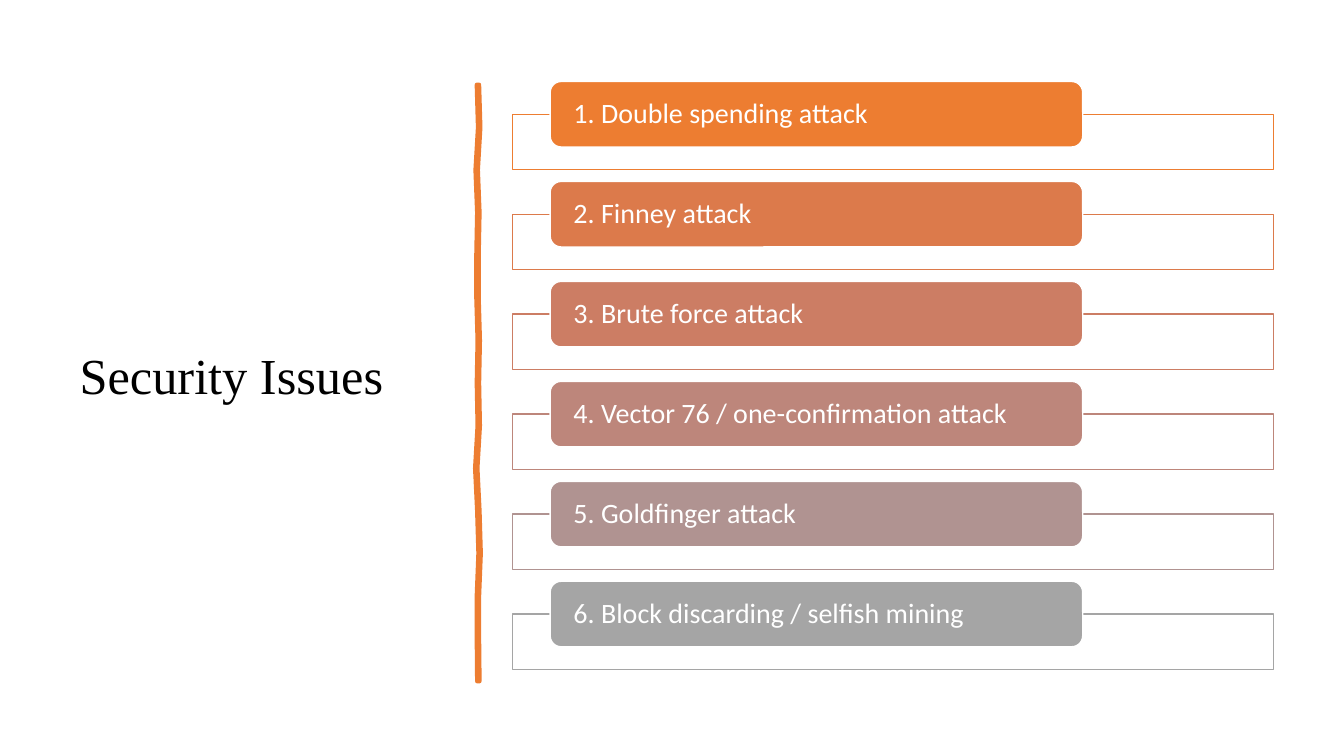
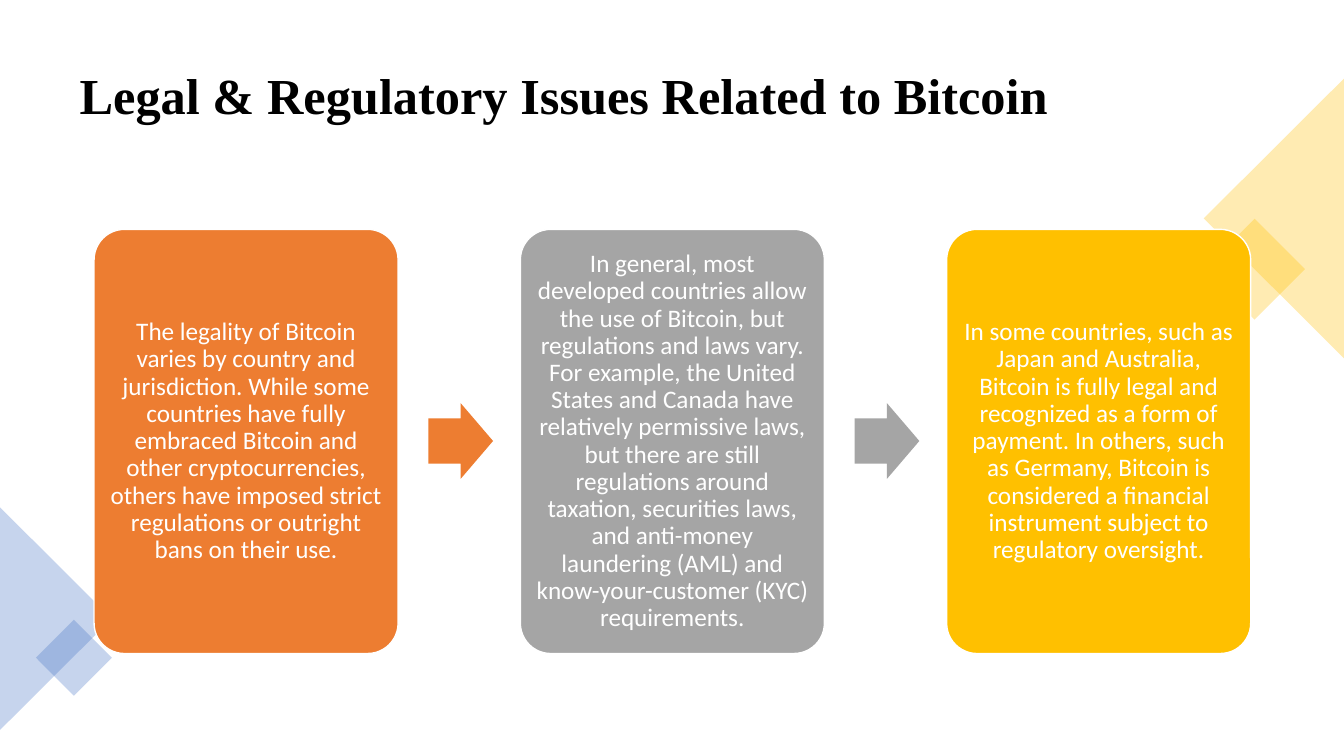
from lxml import etree
from pptx import Presentation
from pptx.dml.color import RGBColor
from pptx.enum.shapes import MSO_SHAPE
from pptx.enum.text import MSO_ANCHOR, PP_ALIGN
from pptx.oxml.ns import qn
from pptx.util import Inches, Pt

RECT, ROUNDED = MSO_SHAPE.RECTANGLE, MSO_SHAPE.ROUNDED_RECTANGLE
TRIANGLE, ARROW = MSO_SHAPE.ISOSCELES_TRIANGLE, MSO_SHAPE.RIGHT_ARROW
LEFT, CENTER = PP_ALIGN.LEFT, PP_ALIGN.CENTER

COLORS = {
    "white": "FFFFFF", "black": "000000", "orange": "ED7D31", "copper": "DC7A4B",
    "clay": "CC7D64", "rose": "BD867B", "mauve": "B09391", "gray": "A5A5A5",
    "gold": "FFC000", "blue": "4472C4",
}
TITLE_FONT, BODY_FONT = "Times New Roman", "Calibri"

# The grid has 160 columns and 90 rows of square cells
COLUMNS, ROWS = 160, 90
CELL = Inches(1) // 12
TITLE_LEFT = 8.3

deck = Presentation()
deck.slide_width, deck.slide_height = COLUMNS * CELL, ROWS * CELL
blank = deck.slide_layouts[6]


def add_block(page, preset, area, fill, line=None, opacity=100, rotation=0):
    """Add a preset shape; area is left, top, width and height in cells."""
    block = page.shapes.add_shape(preset, *[int(cells * CELL) for cells in area])
    block.shadow.inherit = False
    block.rotation = rotation
    block.fill.solid()
    block.fill.fore_color.rgb = RGBColor.from_string(COLORS[fill])
    if opacity < 100:
        color = block.fill._xPr.find(qn("a:solidFill"))[0]
        etree.SubElement(color, qn("a:alpha"), val=str(opacity * 1000))
    if line:
        block.line.color.rgb = RGBColor.from_string(COLORS[line])
        block.line.width = Pt(1)
    else:
        block.line.fill.background()
    return block


def write(box, text, size, font, color, align=LEFT, inset=(1.2, 0.6), bold=False):
    """Fill a shape with one paragraph; inset is sideways and vertical, in cells."""
    frame = box.text_frame
    frame.word_wrap = True
    frame.vertical_anchor = MSO_ANCHOR.MIDDLE
    frame.margin_left = frame.margin_right = int(inset[0] * CELL)
    frame.margin_top = frame.margin_bottom = int(inset[1] * CELL)
    frame.text = text
    para = frame.paragraphs[0]
    para.alignment = align
    para.line_spacing = 0.9
    span = para.runs[0]
    span.font.name, span.font.size, span.font.bold = font, Pt(size), bold
    span.font.color.rgb = RGBColor.from_string(COLORS[color])


# Pages and titles
titles = [
    ("Security Issues", (TITLE_LEFT, 8.4, 44.9, 73.3), False),
    ("Legal & Regulatory Issues Related to Bitcoin", (TITLE_LEFT, 4.2, 143.2, 14.9), True),
]
pages = []
for title, area, bold in titles:
    page = deck.slides.add_slide(blank)
    box = page.shapes.add_textbox(*[int(cells * CELL) for cells in area])
    write(box, title, 36, TITLE_FONT, "black", bold=bold)
    pages.append(page)
security, legal = pages

# Security: hand-drawn divider
sways = [0, 0.15, -0.15, 0.05, -0.05, -0.05, 0.1, 0, 0.1, -0.2, 0.05, 0.2, 0, 0, 0.05]
center, top, height, half_width = 56.9, 10.1, 71, 0.12
step = height / (len(sways) - 1)
right_edge = [(center + sway + half_width, top + i * step) for i, sway in enumerate(sways)]
left_edge = [(x - 2 * half_width, y) for x, y in reversed(right_edge)]
outline = [(x * CELL, y * CELL) for x, y in right_edge + left_edge]
builder = security.shapes.build_freeform(*outline[0], scale=1.0)
builder.add_line_segments(outline[1:], close=True)
divider = builder.convert_to_shape()
divider.shadow.inherit = False
divider.fill.solid()
divider.fill.fore_color.rgb = RGBColor.from_string(COLORS["orange"])
divider.line.color.rgb = RGBColor.from_string(COLORS["orange"])
divider.line.width = Pt(3.25)
etree.SubElement(divider.line._get_or_add_ln(), qn("a:round"))

# Security: one frame with a label per attack
attacks = [
    ("1. Double spending attack", "orange"),
    ("2. Finney attack", "copper"),
    ("3. Brute force attack", "clay"),
    ("4. Vector 76 / one-confirmation attack", "rose"),
    ("5. Goldfinger attack", "mauve"),
    ("6. Block discarding / selfish mining", "gray"),
]
for i, (attack, color) in enumerate(attacks):
    top = 9.7 + i * 11.9
    add_block(security, RECT, (61, top + 3.9, 90.6, 6.6), "white", color, opacity=90)
    label = add_block(security, ROUNDED, (65.5, top, 63.4, 7.8), color, "white")
    write(label, attack, 20, BODY_FONT, "white", inset=(2.4, 0))

# Legal: corner decorations
decorations = [
    (RECT, (145.1, 27.8, 8.5, 8.5), "gold", 45),
    (TRIANGLE, (135, 17.65, 33.3, 16.7), "gold", 270),
    (TRIANGLE, (-6.6, 67, 26.5, 13.3), "blue", 90),
    (RECT, (5.6, 75.1, 6.4, 6.4), "blue", 45),
]
for preset, area, color, rotation in decorations:
    add_block(legal, preset, area, color, opacity=30, rotation=rotation)

# Legal: cards joined by arrows
cards = [
    ("The legality of Bitcoin varies by country and jurisdiction. While some countries "
     "have fully embraced Bitcoin and other cryptocurrencies, others have imposed strict "
     "regulations or outright bans on their use.", "orange"),
    ("In general, most developed countries allow the use of Bitcoin, but regulations and "
     "laws vary. For example, the United States and Canada have relatively permissive laws, "
     "but there are still regulations around taxation, securities laws, and anti-money "
     "laundering (AML) and know-your-customer (KYC) requirements.", "gray"),
    ("In some countries, such as Japan and Australia, Bitcoin is fully legal and recognized "
     "as a form of payment. In others, such as Germany, Bitcoin is considered a financial "
     "instrument subject to regulatory oversight.", "gold"),
]
for i, (text, color) in enumerate(cards):
    left = 11.2 + i * 50.75
    card = add_block(legal, ROUNDED, (left, 27.3, 36.2, 50.5), color, "white")
    card.adjustments[0] = 0.1
    write(card, text, 18, BODY_FONT, "white", CENTER, inset=(0.85, 0.85))
    if i < len(cards) - 1:
        arrow = add_block(legal, ARROW, (left + 39.8, 48, 7.7, 9), color)
        arrow.adjustments[0], arrow.adjustments[1] = 0.6, 0.5

deck.save("out.pptx")
